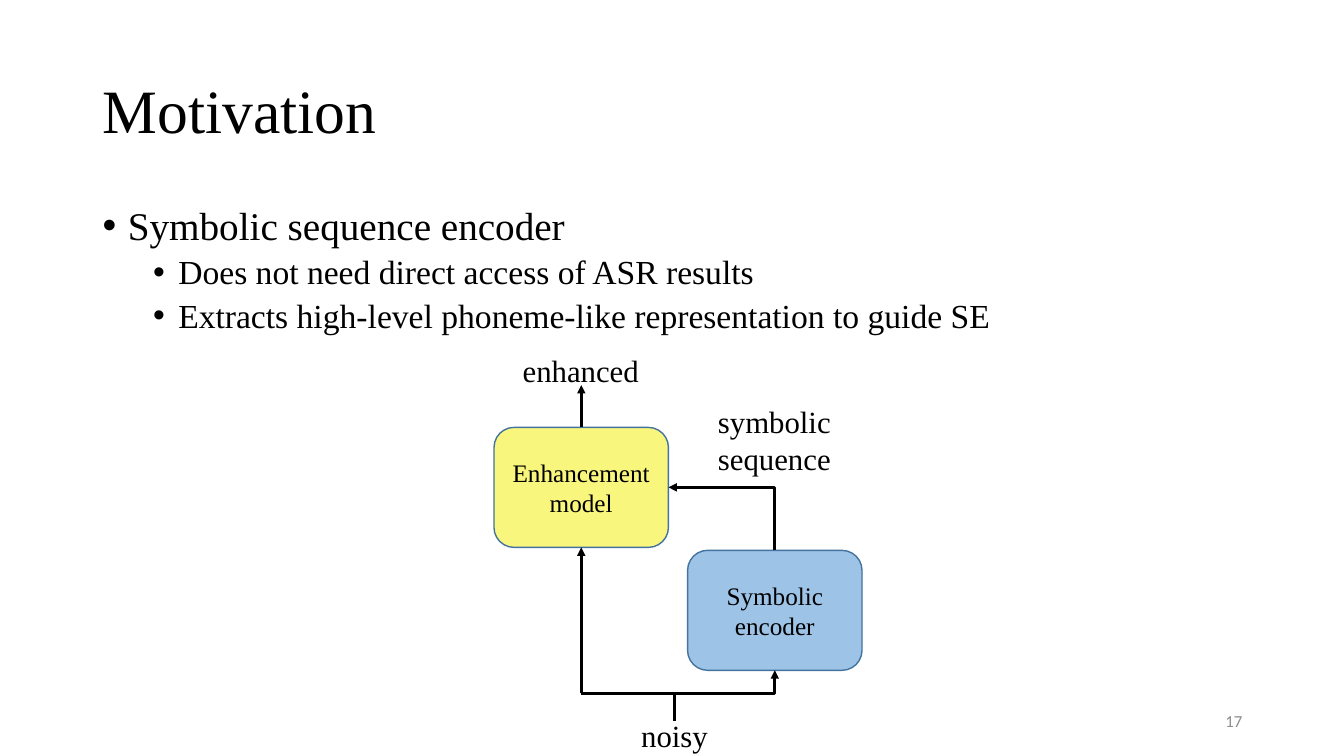
from lxml import etree
from pptx import Presentation
from pptx.dml.color import RGBColor
from pptx.enum.shapes import MSO_CONNECTOR, MSO_SHAPE
from pptx.enum.text import MSO_ANCHOR, PP_ALIGN
from pptx.oxml.ns import qn
from pptx.util import Inches, Pt

STRAIGHT, ELBOW = MSO_CONNECTOR.STRAIGHT, MSO_CONNECTOR.ELBOW
LEFT, CENTER, RIGHT = PP_ALIGN.LEFT, PP_ALIGN.CENTER, PP_ALIGN.RIGHT
TOP, MIDDLE = MSO_ANCHOR.TOP, MSO_ANCHOR.MIDDLE
SITE_TOP, SITE_BOTTOM, SITE_RIGHT = 0, 2, 3
SERIF = "Times New Roman"
COLORS = {"ink": "000000", "muted": "8C8C8C", "border": "43739E",
          "yellow": "F9F67E", "blue": "9DC3E6"}

TITLE = "Motivation"
PAGE_NUMBER = "17"
BULLETS = [
    (0, "Symbolic sequence encoder"),
    (1, "Does not need direct access of ASR results"),
    (1, "Extracts high-level phoneme-like representation to guide SE"),
]
BULLET_LEVELS = [
    {"size": 28, "indent": 0.25, "before": 0},
    {"size": 24, "indent": 0.75, "before": 5},
]
MODEL_SIZE = (1.73, 1.19)
MODELS = {
    "enhancement": (["Enhancement", "model"], 4.9, 4.24, "yellow"),
    "encoder": (["Symbolic", "encoder"], 6.82, 5.46, "blue"),
}
LABELS = [
    (["enhanced"], (4.78, 3.44, 1.96, 0.47)),
    (["symbolic", "sequence"], (6.98, 3.95, 1.4, 0.84)),
    (["noisy"], (5.99, 7.06, 1.4, 0.47)),
]
ENHANCED_Y, SPLIT_Y, NOISY_X, NOISY_Y = 3.82, 6.88, 6.69, 7.15


def color(name):
    return RGBColor.from_string(COLORS[name])


def write(shape, lines, size, align=CENTER, anchor=TOP, font=SERIF, ink="ink"):
    frame = shape.text_frame
    frame.word_wrap = True
    frame.vertical_anchor = anchor
    frame.text = "\n".join(lines)
    for para in frame.paragraphs:
        para.alignment = align
        para.font.size = Pt(size)
        para.font.name = font
        para.font.color.rgb = color(ink)


def add_text(page, lines, place, size, **style):
    box = page.shapes.add_textbox(*map(Inches, place))
    write(box, lines, size, **style)
    return box


def add_bullets(page):
    box = add_text(page, [text for _, text in BULLETS], (0.92, 2, 11.5, 4.76), 24)
    for para, (level, _) in zip(box.text_frame.paragraphs, BULLETS):
        look = BULLET_LEVELS[level]
        props = para._p.get_or_add_pPr()
        props.set("marL", str(Inches(look["indent"])))
        props.set("indent", str(-Inches(0.25)))
        bullet_font = etree.Element(qn("a:buFont"), typeface="Arial")
        bullet = etree.Element(qn("a:buChar"), char="•")
        props.insert(0, bullet_font)
        props.insert(1, bullet)
        para.level = level
        para.alignment = LEFT
        para.line_spacing = 0.9
        para.space_before = Pt(look["before"])
        para.font.size = Pt(look["size"])


def add_model(page, lines, left, top, fill):
    box = page.shapes.add_shape(MSO_SHAPE.ROUNDED_RECTANGLE,
                                *map(Inches, (left, top, *MODEL_SIZE)))
    box.shadow.inherit = False
    box.fill.solid()
    box.fill.fore_color.rgb = color(fill)
    box.line.color.rgb = color("border")
    box.line.width = Pt(1)
    write(box, lines, 18, anchor=MIDDLE)
    return box


def add_line(page, start, end, arrow=None, kind=STRAIGHT):
    line = page.shapes.add_connector(kind, *map(Inches, (*start, *end)))
    line.line.color.rgb = color("ink")
    line.line.width = Pt(2)
    props = line._element.spPr
    if kind == ELBOW:
        props.find(qn("a:prstGeom")).set("prst", "bentConnector2")
    if arrow:
        etree.SubElement(props.find(qn("a:ln")), qn(arrow), type="triangle")
    etree.SubElement(props, qn("a:effectLst"))
    return line


def add_diagram(page):
    boxes = {name: add_model(page, *model) for name, model in MODELS.items()}
    width, height = MODEL_SIZE
    _, left, top, _ = MODELS["enhancement"]
    _, encoder_left, encoder_top, _ = MODELS["encoder"]
    middle, bottom = left + width / 2, top + height
    encoder_middle = encoder_left + width / 2

    sequence = add_line(page, (left + width, top + height / 2),
                        (encoder_middle, encoder_top), "a:headEnd", ELBOW)
    sequence.begin_connect(boxes["enhancement"], SITE_RIGHT)
    sequence.end_connect(boxes["encoder"], SITE_TOP)
    branch = add_line(page, (middle, SPLIT_Y),
                      (encoder_middle, encoder_top + height), "a:tailEnd", ELBOW)
    branch.end_connect(boxes["encoder"], SITE_BOTTOM)
    add_line(page, (middle, SPLIT_Y), (middle, bottom), "a:tailEnd")
    add_line(page, (middle, top), (middle, ENHANCED_Y), "a:tailEnd")
    add_line(page, (NOISY_X, SPLIT_Y), (NOISY_X, NOISY_Y))
    for lines, place in LABELS:
        add_text(page, lines, place, 22)


def main():
    deck = Presentation()
    deck.slide_width, deck.slide_height = Inches(13.33), Inches(7.5)
    page = deck.slides.add_slide(deck.slide_layouts[5])
    title = page.shapes.title
    title.left, title.top, title.width, title.height = map(
        Inches, (0.92, 0.4, 11.5, 1.45))
    write(title, [TITLE], 44, LEFT, MIDDLE)
    title.text_frame.paragraphs[0].line_spacing = 0.9
    add_text(page, [PAGE_NUMBER], (9.42, 6.95, 3, 0.4), 12,
             align=RIGHT, anchor=MIDDLE, font="Calibri", ink="muted")
    add_bullets(page)
    add_diagram(page)
    deck.save("out.pptx")


if __name__ == "__main__":
    main()
